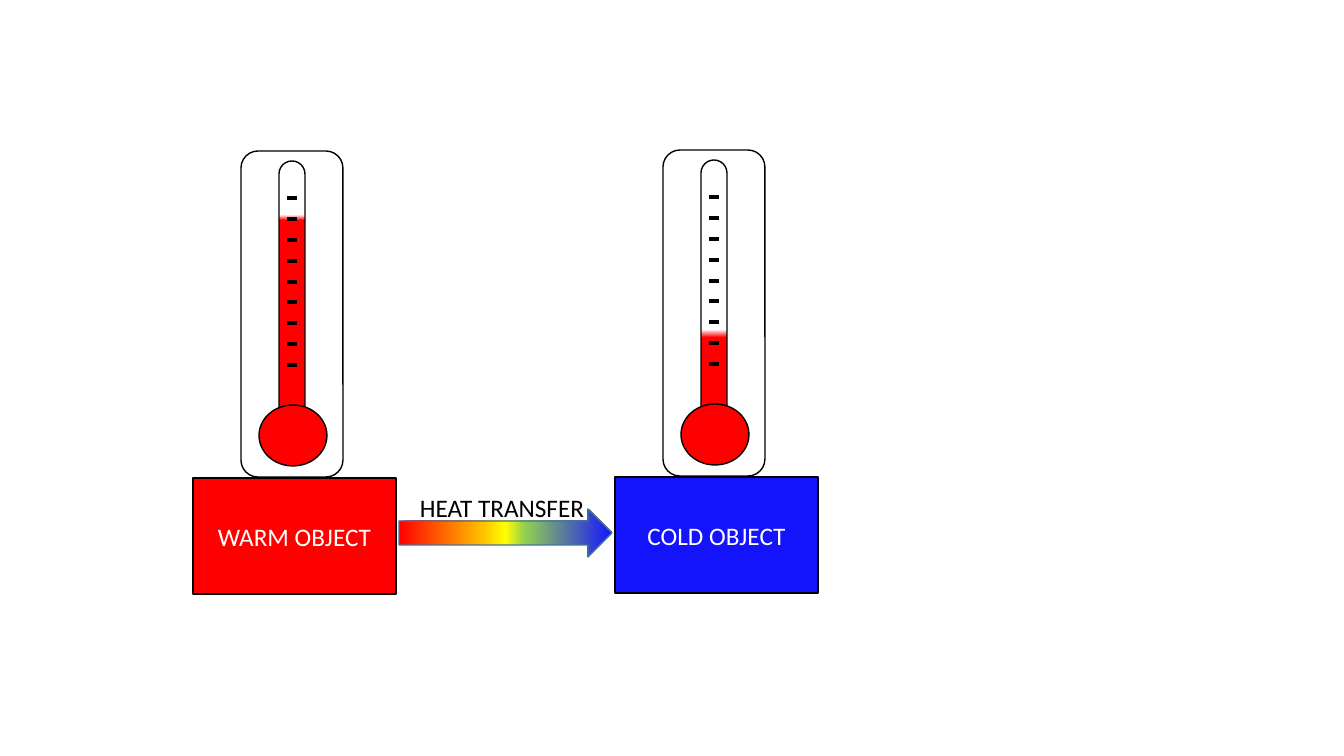
from pptx import Presentation
from pptx import util as u
from pptx.dml.color import RGBColor
from pptx.enum import shapes, text
from pptx.oxml import parse_xml
from pptx.oxml.ns import nsdecls, qn

SCALE = 914400 / 100.8
KIND = shapes.MSO_SHAPE
RED, BLUE, BLACK, WHITE = "FF0000", "1414FC", "000000", "FFFFFF"


def px(n):
    return u.Emu(round(n * SCALE))


def color(value):
    return RGBColor.from_string(value)


def add_shape(parent, kind, x, y, w, h, fill=WHITE, line=BLACK):
    sp = parent.add_shape(kind, px(x), px(y), px(w), px(h))
    sp.shadow.inherit = False
    sp.fill.solid()
    sp.fill.fore_color.rgb = color(fill)
    sp.line.color.rgb = color(line)
    sp.line.width = u.Pt(1)
    return sp


def set_gradient(sp, stops, angle):
    sp.fill.gradient()
    grad = sp._element.spPr.find(qn("a:gradFill"))
    items = "".join(
        f'<a:gs pos="{pos * 1000}"><a:srgbClr val="{value}"/></a:gs>'
        for pos, value in stops
    )
    gs_list = parse_xml(f'<a:gsLst {nsdecls("a")}>{items}</a:gsLst>')
    grad.replace(grad.find(qn("a:gsLst")), gs_list)
    grad.find(qn("a:lin")).set("ang", str(angle * 60000))


def add_tick(parent, x, y, length):
    cn = parent.add_connector(
        shapes.MSO_CONNECTOR.STRAIGHT, px(x), px(y), px(x + length), px(y)
    )
    cn.line.color.rgb = color(BLACK)
    cn.line.width = u.Pt(3)
    cn._element.spPr.append(parse_xml(f'<a:effectLst {nsdecls("a")}/>'))


def set_label(sp, label, value, align):
    tf = sp.text_frame
    tf.text = label
    tf.word_wrap = True
    p = tf.paragraphs[0]
    p.alignment = align
    r = p.runs[0]
    r.font.size = u.Pt(18)
    r.font.name = "Calibri"
    r.font.color.rgb = color(value)


def add_thermometer_object(s, x, y, label, fill, empty, full):
    parent = s.shapes.add_group_shape().shapes
    add_shape(parent, KIND.ROUNDED_RECTANGLE, x + 48, y - 327, 102, 326)
    tube = add_shape(parent, KIND.ROUNDED_RECTANGLE, x + 86, y - 317, 26, 269)
    tube.adjustments[0] = 0.5
    set_gradient(tube, [(0, WHITE), (empty, WHITE), (full, RED), (100, RED)], 90)
    add_shape(parent, KIND.OVAL, x + 66, y - 73, 68, 61, RED)
    for i in range(9):
        add_tick(parent, x + 94, y - 280 + round(i * 20.9), 10)
    box = add_shape(parent, KIND.RECTANGLE, x, y, 203, 116, fill)
    box.text_frame.vertical_anchor = text.MSO_ANCHOR.MIDDLE
    set_label(box, label, WHITE, text.PP_ALIGN.CENTER)


def add_heat_arrow(s):
    arrow = add_shape(s.shapes, KIND.RIGHT_ARROW, 399, 509, 213, 48, RED, "43739E")
    stops = [(0, RED), (39, "FFC000"), (50, "FFFF00"), (59, "92D050"), (100, BLUE)]
    set_gradient(arrow, stops, 0)
    caption = s.shapes.add_textbox(px(410), px(487), px(198), px(40))
    set_label(caption, "HEAT TRANSFER", BLACK, text.PP_ALIGN.LEFT)


def main():
    prs = Presentation()
    prs.slide_width, prs.slide_height = px(1344), px(756)
    s = prs.slides.add_slide(prs.slide_layouts[6])
    add_thermometer_object(s, 193, 478, "WARM OBJECT", RED, 20, 22)
    add_thermometer_object(s, 615, 477, "COLD OBJECT", BLUE, 63, 66)
    add_heat_arrow(s)
    prs.save("out.pptx")


main()
